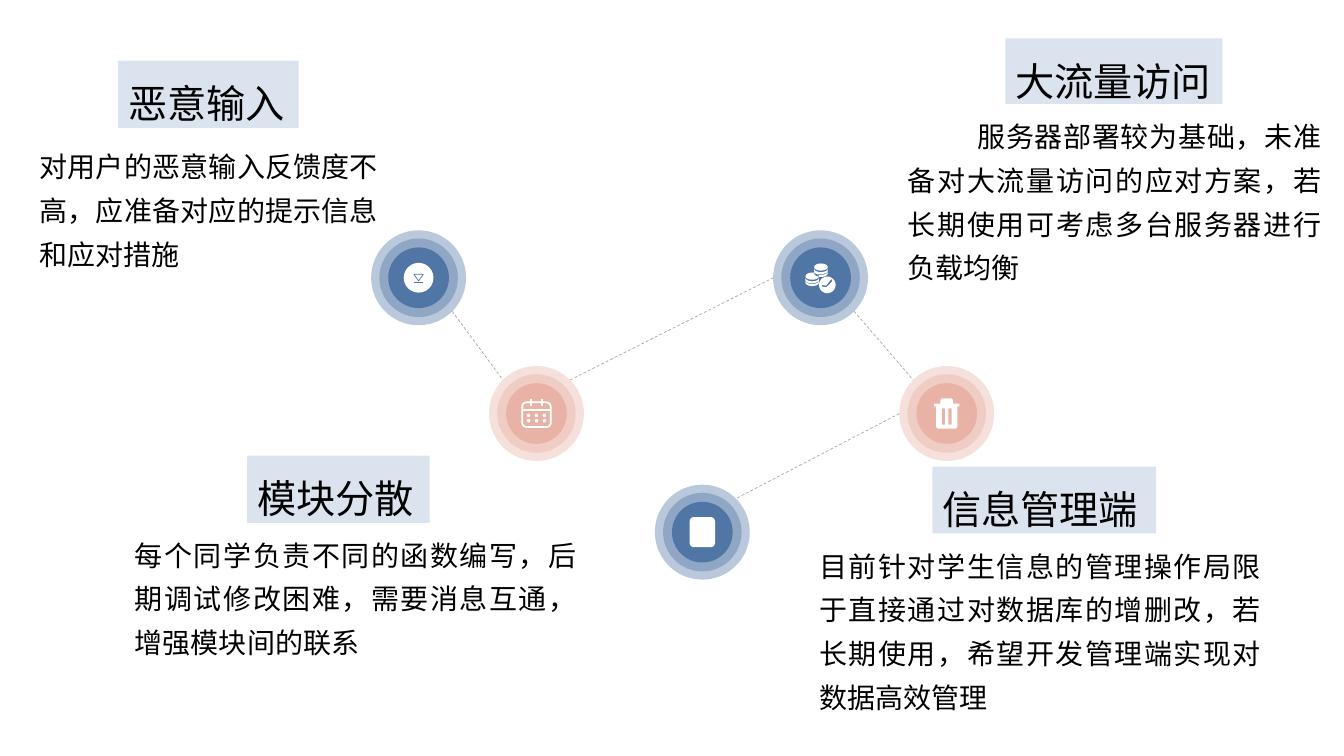
from math import cos, radians, sin

from lxml.etree import SubElement
from pptx import Presentation
from pptx.dml.color import RGBColor
from pptx.enum.dml import MSO_LINE
from pptx.enum.shapes import MSO_CONNECTOR, MSO_SHAPE as SHAPE
from pptx.enum.text import MSO_ANCHOR, PP_ALIGN
from pptx.oxml.ns import qn
from pptx.util import Cm, Pt

FONT = "Noto Sans CJK SC"
BLUE = RGBColor(0x50, 0x76, 0xA6)
PINK = RGBColor(0xE8, 0xB2, 0xA6)
PALE = RGBColor(0xDB, 0xE4, 0xEE)
GREY = RGBColor(0xA6, 0xA6, 0xA6)
WHITE = RGBColor(0xFF, 0xFF, 0xFF)
BLACK = RGBColor(0, 0, 0)

# heading, heading box, body, body box, first-line indent (cm)
TOPICS = [
    ("大流量访问", (25.34, 0.97, 5.47, 1.65),
     "服务器部署较为基础，未准备对大流量访问的应对方案，若长期使用可考虑多台服务器进行负载均衡",
     (22.63, 2.64, 10.92, 4.7), 1.75),
    ("模块分散", (6.23, 11.48, 4.6, 1.7),
     "每个同学负责不同的函数编写，后期调试修改困难，需要消息互通，增强模块间的联系",
     (3.15, 13.18, 11.63, 3.58), 0),
    ("恶意输入", (2.98, 1.53, 4.55, 1.7),
     "对用户的恶意输入反馈度不高，应准备对应的提示信息和应对措施",
     (0.74, 3.4, 9.04, 3.58), 0),
    ("信息管理端", (23.5, 11.76, 5.64, 1.68),
     "目前针对学生信息的管理操作局限于直接通过对数据库的增删改，若长期使用，希望开发管理端实现对数据高效管理",
     (20.4, 13.46, 11.63, 4.62), 0),
]
# centre and colour of each node (cm)
NODES = {
    "input": (10.55, 7, BLUE),
    "modules": (13.52, 10.42, PINK),
    "traffic": (20.68, 7, BLUE),
    "admin": (23.86, 10.42, PINK),
    "device": (17.7, 13.41, BLUE),
}
# node and angle (clockwise from the right) at each end
LINKS = [
    (("input", 45), ("modules", 225)),
    (("modules", 315), ("traffic", 180)),
    (("traffic", 45), ("admin", 225)),
    (("admin", 180), ("device", 315)),
]
RINGS = [(2.39, 40), (1.98, 40), (1.53, 100)]  # diameter, opacity
BIN = [(-0.32, -0.25), (-0.16, -0.25), (-0.16, -0.34), (-0.12, -0.38),
       (0.12, -0.38), (0.16, -0.34), (0.16, -0.25), (0.32, -0.25),
       (0.32, -0.18), (0.27, -0.18), (0.27, 0.34), (0.23, 0.38),
       (-0.23, 0.38), (-0.27, 0.34), (-0.27, -0.18), (-0.32, -0.18)]
TICK = [(0.03, 0.18), (0.14, 0.2), (0.27, 0.03), (0.3, 0.08), (0.15, 0.24), (0.03, 0.22)]
COIN_STACKS = [(0.01, -0.27), (-0.21, -0.04)]

prs = Presentation()
prs.slide_width, prs.slide_height = Cm(33.87), Cm(19.05)
shapes = prs.slides.add_slide(prs.slide_layouts[6]).shapes


def paint(s, fill=None, line=None, width=0.5):
    s.shadow.inherit = False
    if fill is None:
        s.fill.background()
    else:
        s.fill.solid()
        s.fill.fore_color.rgb = fill
    if line is None:
        s.line.fill.background()
    else:
        s.line.color.rgb = line
        s.line.width = Pt(width)


def centred(kind, x, y, w, h, fill=None, line=None, width=0.5):
    s = shapes.add_shape(kind, Cm(x - w / 2), Cm(y - h / 2), Cm(w), Cm(h))
    paint(s, fill, line, width)
    return s


def outline(x, y, contours, **colours):
    """Draw one shape from closed contours of offsets around (x, y)."""
    builder = None
    for contour in contours:
        pts = [(Cm(x + dx), Cm(y + dy)) for dx, dy in contour]
        if builder is None:
            builder = shapes.build_freeform(*pts[0])
        else:
            builder.move_to(*pts[0])
        builder.add_line_segments(pts[1:], close=True)
    paint(builder.convert_to_shape(), **colours)


def arc(x, y, rx, ry, angles):
    return [(x + rx * cos(radians(a)), y + ry * sin(radians(a))) for a in angles]


def stroke(x1, y1, x2, y2, colour, width=0.5):
    c = shapes.add_connector(MSO_CONNECTOR.STRAIGHT, Cm(x1), Cm(y1), Cm(x2), Cm(y2))
    c.line.color.rgb = colour
    c.line.width = Pt(width)
    SubElement(c._element.spPr, qn("a:effectLst"))
    return c


def rim(name, angle):
    x, y, _ = NODES[name]
    radius = RINGS[0][0] / 2
    return arc(x, y, radius, radius, [angle])[0]


def input_icon(x, y, colour):
    centred(SHAPE.OVAL, x, y, 0.75, 0.75, WHITE)
    outline(x, y, [[(-0.12, -0.09), (0.12, -0.09), (0, 0.08)]], line=colour)
    stroke(x - 0.12, y + 0.12, x + 0.12, y + 0.12, colour)


def modules_icon(x, y, colour):
    """Calendar with two pegs and six days."""
    centred(SHAPE.ROUNDED_RECTANGLE, x, y + 0.03, 0.72, 0.62, line=WHITE, width=1.25)
    stroke(x - 0.36, y - 0.09, x + 0.36, y - 0.09, WHITE, 1)
    for dx in (-0.14, 0.14):
        stroke(x + dx, y - 0.36, x + dx, y - 0.2, WHITE, 1.25)
    for dx in (-0.2, 0, 0.2):
        for dy in (0.05, 0.18):
            centred(SHAPE.OVAL, x + dx, y + dy, 0.09, 0.09, WHITE)


def traffic_icon(x, y, colour):
    """Two coin stacks and a ticked disc."""
    contours = []
    for dx, dy in COIN_STACKS:
        contours.append(arc(dx, dy, 0.17, 0.09, range(0, 360, 15)))
        for drop in (0.04, 0.11):
            contours.append(arc(dx, dy + drop, 0.17, 0.09, range(0, 181, 15))
                            + arc(dx, dy + drop + 0.05, 0.17, 0.09, range(180, -1, -15)))
    contours += [arc(0.17, 0.18, 0.21, 0.21, range(0, 360, 15)), TICK]
    outline(x, y, contours, fill=WHITE)


def admin_icon(x, y, colour):
    """Waste bin with two slots."""
    slots = [[(dx - 0.04, -0.13), (dx + 0.04, -0.13), (dx + 0.04, 0.28), (dx - 0.04, 0.28)]
             for dx in (-0.08, 0.08)]
    outline(x, y, [BIN] + slots, fill=WHITE)


def device_icon(x, y, colour):
    centred(SHAPE.ROUNDED_RECTANGLE, x, y, 0.64, 0.76, WHITE)


def write(s, text, size, indent=0):
    tf = s.text_frame
    tf.word_wrap = True
    tf.vertical_anchor = MSO_ANCHOR.TOP
    p = tf.paragraphs[0]
    r = p.add_run()
    r.text = text
    p.alignment = PP_ALIGN.JUSTIFY
    p.line_spacing = 1.3
    if indent:
        p._p.get_or_add_pPr().set("indent", str(Cm(indent)))
    r.font.size = Pt(size)
    r.font.name = FONT
    r.font.color.rgb = BLACK
    SubElement(r.font._element, qn("a:ea")).set("typeface", FONT)


ICONS = {"input": input_icon, "modules": modules_icon, "traffic": traffic_icon,
         "admin": admin_icon, "device": device_icon}

for start, end in LINKS:
    stroke(*rim(*start), *rim(*end), GREY).line.dash_style = MSO_LINE.DASH

for name, (x, y, colour) in NODES.items():
    for diameter, opacity in RINGS:
        s = centred(SHAPE.OVAL, x, y, diameter, diameter, colour)
        if opacity < 100:
            clr = s._element.spPr.find(qn("a:solidFill"))[0]
            SubElement(clr, qn("a:alpha")).set("val", str(opacity * 1000))
    ICONS[name](x, y, colour)

for heading, heading_box, body, body_box, indent in TOPICS:
    write(shapes.add_textbox(*map(Cm, body_box)), body, 20, indent)
    s = shapes.add_shape(SHAPE.RECTANGLE, *map(Cm, heading_box))
    paint(s, PALE)
    write(s, heading, 28)

prs.save("out.pptx")
